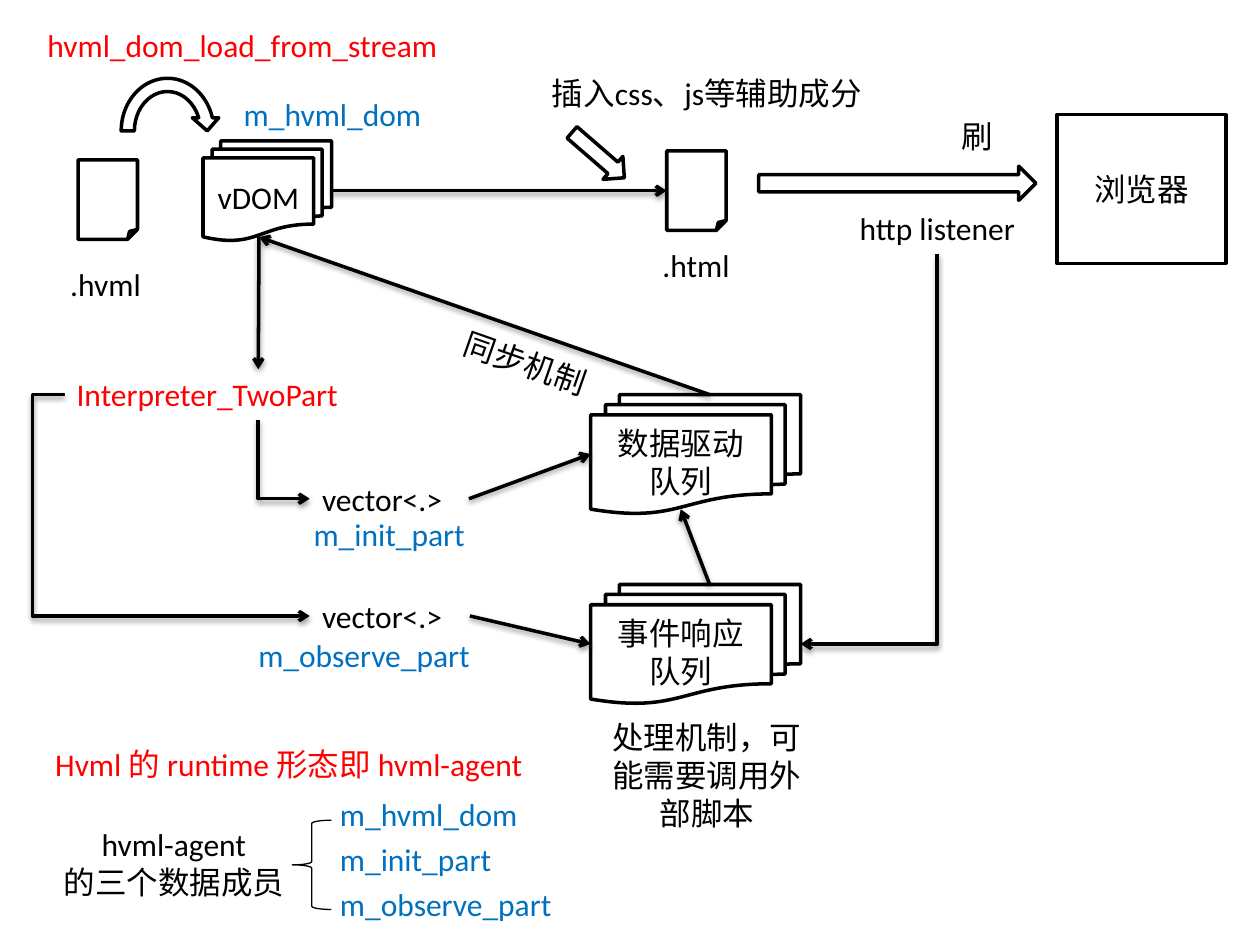
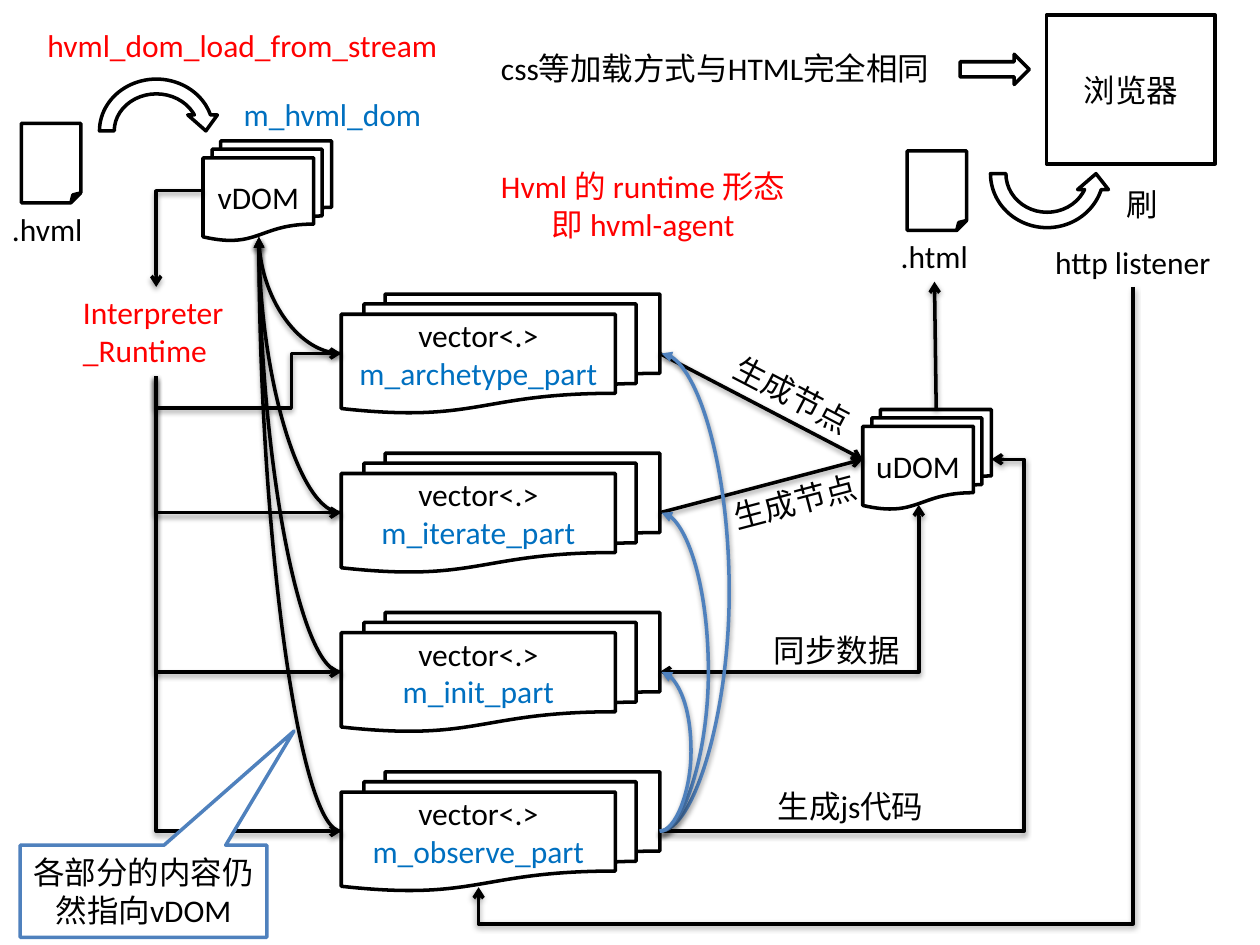
import pptx
import pptx.util
import pptx.dml.color
import pptx.enum.shapes
import pptx.enum.text
import pptx.oxml
import pptx.oxml.ns

Pt = pptx.util.Pt
SHAPE = pptx.enum.shapes.MSO_SHAPE
CONNECTOR = pptx.enum.shapes.MSO_CONNECTOR
ALIGN = pptx.enum.text.PP_ALIGN
BLACK, WHITE, RED, BLUE, STEEL = "000000", "FFFFFF", "FF0000", "0070C0", "4F81BD"
FONT, FONT_SIZE, STROKE = "Calibri", 18, 2
LINE_HEIGHT, BOX_PADDING = 22, 7
FOLD, DOM, QUEUE, BROWSER = (34, 45.4), (73.5, 57), (120, 68), (96.5, 85)
TOP, LEFT, BOTTOM, RIGHT = range(4)

# Shared content. Shapes: key, preset, (left, top), (width, height), text, options
VDOM = ("vDOM", SHAPE.FLOWCHART_MULTIDOCUMENT, (116, 80.5), DOM, "vDOM", {})
VDOM_BOTTOM = (148, 135.5)
# Labels: text, left, top, width, colour, options
SHARED_LABELS = [
    ("hvml_dom_load_from_stream", 20, 11.5, 255, RED, {"align": ALIGN.LEFT}),
    ("m_hvml_dom", 126, 51, 128, BLUE, {}),
]

# Part vectors of the runtime page, in equal steps
PARTS = ["m_archetype_part", "m_iterate_part", "m_init_part", "m_observe_part"]
PART_LEFT, PART_TOP, PART_STEP, PART_SIZE = 195, 168, 91, (182, 68)
PART_RIGHT = PART_LEFT + PART_SIZE[0]
PART_TOPS = [PART_TOP + PART_STEP * i for i in range(len(PARTS))]
PART_MIDDLES = [top + PART_SIZE[1] / 2 for top in PART_TOPS]
TRUNK = (89.3, 215)
OBSERVE = (PART_RIGHT, PART_MIDDLES[3])

# Links: kind, begin, end, bends, options (each end is a point or a shape and side)
PAGES = [
    {
        "shapes": [
            VDOM,
            ("hvml", SHAPE.FOLDED_CORNER, (44.6, 91.4), FOLD, "", {}),
            ("html", SHAPE.FOLDED_CORNER, (381, 86.3), FOLD, "", {}),
            ("load", SHAPE.CIRCULAR_ARROW, (65.5, 41), (60.5, 67.7), "", {}),
            ("browser", SHAPE.RECTANGLE, (604, 65.5), BROWSER, "浏览器", {}),
            ("refresh", SHAPE.RIGHT_ARROW, (433.5, 95), (158.4, 19.5), "", {}),
            ("insert", SHAPE.RIGHT_ARROW, (322, 80), (39.6, 17.3), "", {"rotation": 40.9}),
            ("event", SHAPE.FLOWCHART_MULTIDOCUMENT, (337.5, 334), QUEUE, "事件响应队列", {}),
            ("data", SHAPE.FLOWCHART_MULTIDOCUMENT, (337.5, 225.5), QUEUE, "数据驱动\n队列", {}),
            ("members", SHAPE.LEFT_BRACE, (167, 468.7), (22.3, 51), "",
             {"fill": None, "stroke": 0.75}),
        ],
        "labels": [
            (".hvml", 29, 147.6, 62.6, BLACK, {}),
            (".html", 366.5, 136.8, 62.6, BLACK, {}),
            ("刷", 535.5, 63.4, 45.4, BLACK, {}),
            ("Interpreter_TwoPart", 36.7, 211, 221, RED, {"align": ALIGN.LEFT}),
            ("vector<.>", 177, 270.7, 91, BLACK, {"align": ALIGN.LEFT}),
            ("vector<.>", 177, 337.7, 92, BLACK, {"align": ALIGN.LEFT}),
            ("http listener", 471.6, 116, 128, BLACK, {}),
            ("插入css、js等辅助成分", 289.4, 39, 229, BLACK, {}),
            ("同步机制", 252, 193, 96.5, BLACK, {"rotation": 19.3}),
            ("处理机制，可能需要调用外部脚本", 335.5, 406.8, 136.8, BLACK, {"lines": 3}),
            ("m_init_part", 158.4, 291, 128, BLUE, {}),
            ("m_observe_part", 130.3, 360, 155.5, BLUE, {}),
            ("hvml-agent\n的三个数据成员", 21.6, 468, 155.5, BLACK, {"lines": 2}),
            ("Hvml 的 runtime 形态即 hvml-agent", 1.5, 422, 327, RED, {}),
        ] + [
            (member, 187.2, 450.9 + 25.5 * i, 163, BLUE, {"align": ALIGN.LEFT})
            for i, member in enumerate(["m_hvml_dom", "m_init_part", "m_observe_part"])
        ],
        "links": [
            ("straight", VDOM_BOTTOM, (147.6, 211), (), {}),
            ("straight", ("vDOM", RIGHT), ("html", LEFT), (), {}),
            ("straight", (268, 285), ("data", LEFT), (), {}),
            ("straight", (268.5, 352), ("event", LEFT), (), {}),
            ("straight", (405.5, 334), (389, 291), (), {}),
            ("straight", (405.5, 225.5), VDOM_BOTTOM, (), {}),
            ("bent", (177, 285), (147.6, 240), (), {"heads": ["head"]}),
            ("bent", (37, 225.5), (177, 352), (18.5,), {}),
            ("bent", (457.5, 368), (535.5, 145), (), {"heads": ["head"]}),
        ],
    },
    {
        "shapes": [
            VDOM,
            ("hvml", SHAPE.FOLDED_CORNER, (12.2, 70.5), FOLD, "", {}),
            ("html", SHAPE.FOLDED_CORNER, (518.4, 86.3), FOLD, "", {}),
            ("load", SHAPE.CIRCULAR_ARROW, (52.6, 41), (73.5, 67.7), "", {}),
            ("browser", SHAPE.RECTANGLE, (598, 8.6), BROWSER, "浏览器", {}),
            ("css", SHAPE.RIGHT_ARROW, (548.6, 31), (39.6, 17.3), "", {}),
            ("refresh", SHAPE.CIRCULAR_ARROW, (561.6, 64), (73.5, 70.5), "", {"flip": True}),
            ("uDOM", SHAPE.FLOWCHART_MULTIDOCUMENT, (493, 234), DOM, "uDOM", {}),
        ] + [
            (part, SHAPE.FLOWCHART_MULTIDOCUMENT, (PART_LEFT, top), PART_SIZE,
             "vector<.>\n" + part, {"last_colour": BLUE, "margin_bottom": 12})
            for part, top in zip(PARTS, PART_TOPS)
        ],
        "labels": [
            (".hvml", -4.3, 116.6, 62.6, BLACK, {}),
            (".html", 502.6, 131.8, 62.6, BLACK, {}),
            ("刷", 630, 102, 45.4, BLACK, {}),
            ("Interpreter_Runtime", 40.3, 164, 98, RED, {"align": ALIGN.LEFT, "lines": 2}),
            ("http listener", 590.4, 135.4, 113.8, BLACK, {}),
            ("css等加载方式与HTML完全相同", 268.6, 24.5, 280, BLACK, {}),
            ("Hvml 的 runtime 形态\n即 hvml-agent", 257, 92, 221, RED, {"lines": 2}),
            ("生成节点", 404, 211, 98, BLACK, {"rotation": 27.7}),
            ("生成节点", 405.4, 272, 98, BLACK, {"rotation": 345.2}),
            ("生成js代码", 427.7, 446.4, 116.6, BLACK, {}),
            ("同步数据", 419.8, 357, 116.6, BLACK, {}),
        ],
        "links": [
            ("straight", (PARTS[0], RIGHT), ("uDOM", LEFT), (), {}),
            ("straight", (PARTS[1], RIGHT), ("uDOM", LEFT), (), {}),
            ("straight", (535, 234), (534, 161), (), {}),
            ("bent", (116, 109), (TRUNK[0], 164), (), {}),
            ("bent", (647.5, 164), (273.5, 507), (528,), {"turned": True}),
            ("bent", OBSERVE, (566.5, 262.5), (585,), {}),
            ("bent", (PART_RIGHT, PART_MIDDLES[2]), (525, 288.5), (),
             {"heads": ["head", "tail"]}),
        ] + [
            ("bent", (PART_LEFT, middle), TRUNK, bends, {"heads": ["head"]})
            for middle, bends in zip(PART_MIDDLES, [(166.5, 233), (), (), ()])
        ] + [
            ("curved", (PART_LEFT, middle), VDOM_BOTTOM, (), {})
            for middle in PART_MIDDLES
        ] + [
            ("curved", OBSERVE, (PART_RIGHT + 1, middle), (bulge,), {"colour": STEEL})
            for middle, bulge in zip(PART_MIDDLES, [417, 405, 395])
        ],
        "callout": ("note", SHAPE.RECTANGULAR_CALLOUT, (11.5, 483), (141, 52.6),
                    "各部分的内容仍然指向vDOM",
                    {"colour": STEEL, "adjustments": (0.61, -1.74)}),
    },
]


def rgb(colour):
    return pptx.dml.color.RGBColor.from_string(colour)


def write(frame, text, colour, align=ALIGN.CENTER, last_colour=None):
    frame.word_wrap = True
    frame.text = text
    for para in frame.paragraphs:
        para.alignment = align
        for span in para.runs:
            span.font.name = FONT
            span.font.size = Pt(FONT_SIZE)
            span.font.color.rgb = rgb(colour)
    if last_colour:
        frame.paragraphs[-1].runs[0].font.color.rgb = rgb(last_colour)


def add_shape(page, preset, place, size, text, options):
    box = page.shapes.add_shape(preset, *map(Pt, place + size))
    box.shadow.inherit = False
    if options.get("fill", WHITE):
        box.fill.solid()
        box.fill.fore_color.rgb = rgb(WHITE)
    else:
        box.fill.background()
    box.line.color.rgb = rgb(options.get("colour", BLACK))
    box.line.width = Pt(options.get("stroke", STROKE))
    box.rotation = options.get("rotation", 0)
    for i, value in enumerate(options.get("adjustments", ())):
        box.adjustments[i] = value
    if options.get("flip"):
        box.element.spPr.xfrm.set("flipV", "1")
    if text:
        frame = box.text_frame
        write(frame, text, BLACK, last_colour=options.get("last_colour"))
        frame.vertical_anchor = pptx.enum.text.MSO_ANCHOR.MIDDLE
        frame.margin_bottom = Pt(options.get("margin_bottom", 3.6))
    return box


def add_label(page, text, left, top, width, colour, options):
    height = BOX_PADDING + LINE_HEIGHT * options.get("lines", 1)
    box = page.shapes.add_textbox(Pt(left), Pt(top), Pt(width), Pt(height))
    write(box.text_frame, text, colour, options.get("align", ALIGN.CENTER))
    box.text_frame.auto_size = pptx.enum.text.MSO_AUTO_SIZE.SHAPE_TO_FIT_TEXT
    box.rotation = options.get("rotation", 0)


def add_link(page, boxes, kind, begin, end, bends, options):
    # Ends that name a shape are joined to it below
    joins = [isinstance(point[0], str) for point in (begin, end)]
    x1, y1 = (0, 0) if joins[0] else begin
    x2, y2 = (0, 0) if joins[1] else end
    turned = options.get("turned", False)
    corners = (x1, y1, x2, y2)
    if turned:
        middle_x, middle_y = (x1 + x2) / 2, (y1 + y2) / 2
        half_x, half_y = (y2 - y1) / 2, (x1 - x2) / 2
        corners = (middle_x - half_x, middle_y - half_y, middle_x + half_x, middle_y + half_y)
    straight = kind == "straight"
    link = page.shapes.add_connector(
        CONNECTOR.STRAIGHT if straight else CONNECTOR.ELBOW, *map(Pt, corners))
    if joins[0]:
        link.begin_connect(boxes[begin[0]], begin[1])
    if joins[1]:
        link.end_connect(boxes[end[0]], end[1])
    link.line.color.rgb = rgb(options.get("colour", BLACK))
    link.line.width = Pt(STROKE)
    if turned:
        link.rotation = 90

    # Bends alternate between the two axes, as shares of the way to the end
    if not straight:
        geometry = link.element.spPr.find(pptx.oxml.ns.qn("a:prstGeom"))
        geometry.set("prst", f"{kind}Connector{len(bends) + 2}")
        guides = geometry.get_or_add_avLst()
        for i, bend in enumerate(bends):
            first, last = ((x1, x2), (y1, y2))[(i + turned) % 2]
            guide = pptx.oxml.parse_xml(f"<a:gd {pptx.oxml.ns.nsdecls('a')}/>")
            guide.set("name", f"adj{i + 1}")
            guide.set("fmla", f"val {round((bend - first) / (last - first) * 100000)}")
            guides.append(guide)

    # Arrowheads
    style = "triangle" if kind == "curved" else "arrow"
    for side in options.get("heads", ["tail"]):
        link.line._get_or_add_ln().append(pptx.oxml.parse_xml(
            f'<a:{side}End {pptx.oxml.ns.nsdecls("a")} type="{style}"/>'))


def main():
    deck = pptx.Presentation()
    deck.slide_width, deck.slide_height = Pt(720), Pt(540)
    for content in PAGES:
        page = deck.slides.add_slide(deck.slide_layouts[6])
        boxes = {key: add_shape(page, *rest) for key, *rest in content["shapes"]}
        for link in content["links"]:
            add_link(page, boxes, *link)
        for label in SHARED_LABELS + content["labels"]:
            add_label(page, *label)
        if "callout" in content:
            add_shape(page, *content["callout"][1:])
    deck.save("out.pptx")


if __name__ == "__main__":
    main()
